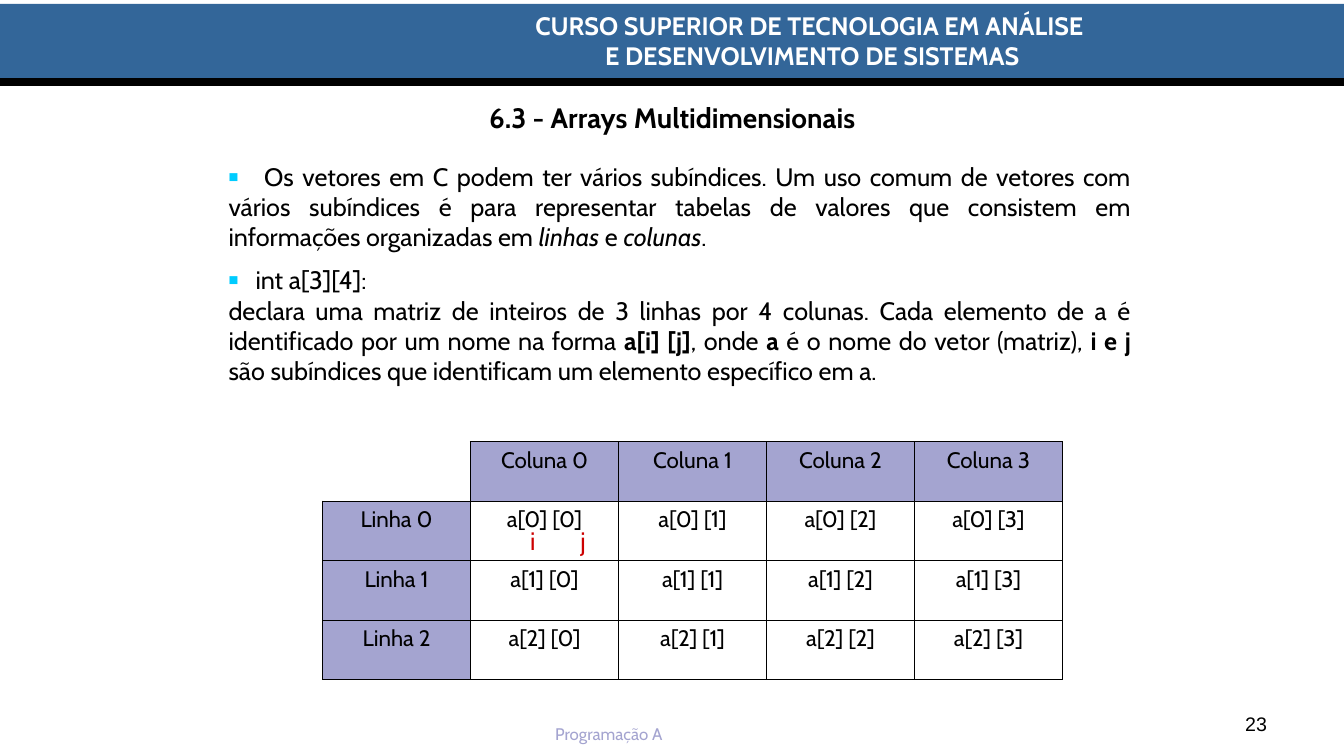
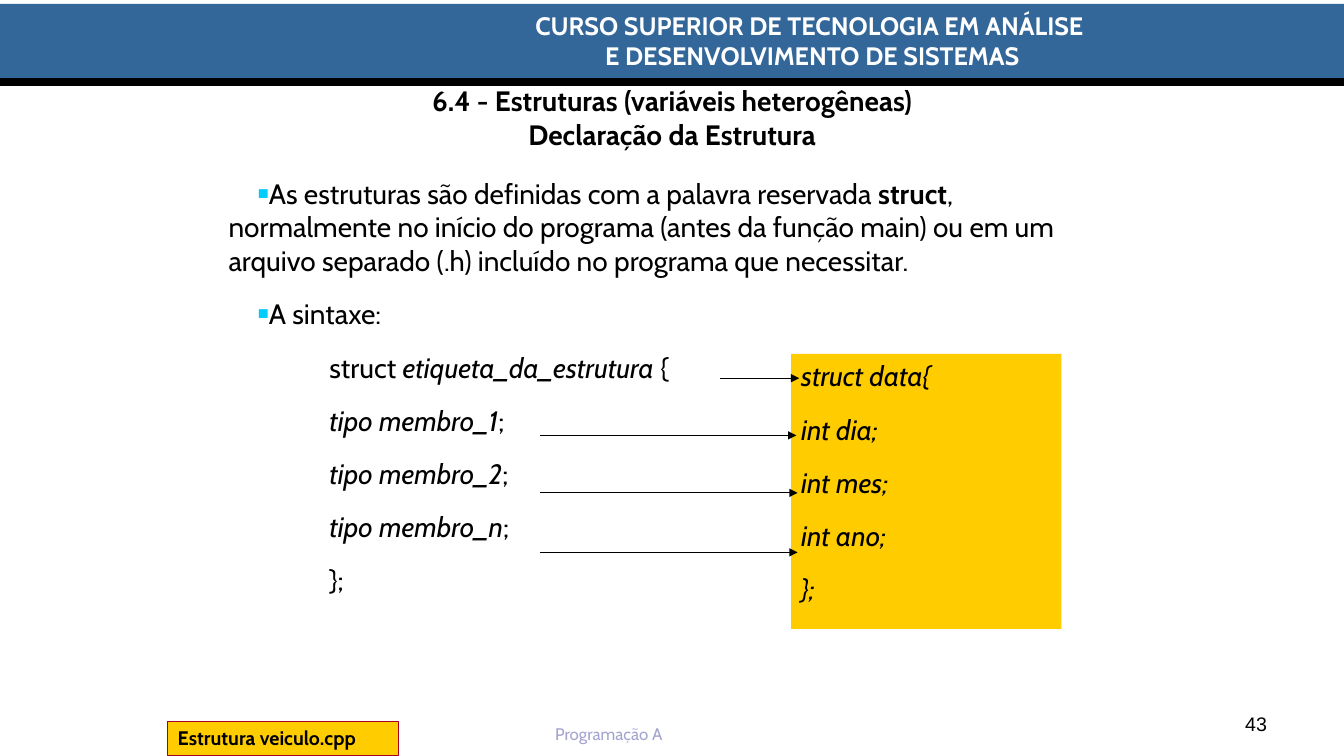
"""Builds two lecture slides on C arrays and structures."""
import dataclasses

import lxml.etree
import pptx
import pptx.dml.color
import pptx.enum.shapes
import pptx.enum.text
import pptx.oxml.ns
import pptx.util

Cm = pptx.util.Cm
ALIGN = pptx.enum.text.PP_ALIGN
ANCHOR = pptx.enum.text.MSO_ANCHOR
RECTANGLE = pptx.enum.shapes.MSO_SHAPE.RECTANGLE


@dataclasses.dataclass(frozen=True)
class Theme:
    """Colours, fonts and type sizes of the deck."""
    font: str = "Cabin"
    number_font: str = "Arial"
    ink: str = "000000"
    white: str = "FFFFFF"
    band: str = "336699"
    lilac: str = "A4A4D0"
    bullet: str = "00CCFF"
    red: str = "CC0000"
    amber: str = "FFCC00"
    wine: str = "A50021"
    heading: int = 20
    text: int = 18
    table: int = 16
    label: int = 14
    footer: int = 12


THEME = Theme()


def rgb(value):
    """Turn a hex string into a colour."""
    return pptx.dml.color.RGBColor.from_string(value)


def add_xml(parent, tag, **attributes):
    """Append a drawing element to a parent."""
    return lxml.etree.SubElement(parent, pptx.oxml.ns.qn(tag), attributes)


def add_span(para, text, size, color=THEME.ink, style="", font=THEME.font):
    """Add one formatted run; style holds b for bold and i for italic."""
    span = para.add_run()
    span.text = text
    span.font.name = font
    span.font.size = pptx.util.Pt(size)
    span.font.color.rgb = rgb(color)
    span.font.bold = "b" in style
    span.font.italic = "i" in style


def format_para(para, align=ALIGN.LEFT, left=0, indent=0, bullet=False, tab=None, before=0, after=0):
    """Set alignment, indents, bullet, tab stop and spacing of a paragraph."""
    properties = para._p.get_or_add_pPr()
    properties.set("marL", str(Cm(left)))
    properties.set("indent", str(Cm(indent)))
    if bullet:
        add_xml(add_xml(properties, "a:buClr"), "a:srgbClr", val=THEME.bullet)
        add_xml(properties, "a:buSzPct", val="65000")
        add_xml(properties, "a:buFont", typeface=THEME.number_font)
        add_xml(properties, "a:buChar", char="■")
    else:
        add_xml(properties, "a:buNone")
    if tab:
        add_xml(add_xml(properties, "a:tabLst"), "a:tab", pos=str(Cm(tab)), algn="l")
    para.alignment = align
    para.space_before = pptx.util.Pt(before)
    para.space_after = pptx.util.Pt(after)


def fill_text(frame, paragraphs, size, color=THEME.ink, font=THEME.font, anchor=ANCHOR.TOP):
    """Write paragraphs given as (runs, format) pairs into a text frame."""
    frame.word_wrap = True
    frame.vertical_anchor = anchor
    for index, (runs, options) in enumerate(paragraphs):
        para = frame.add_paragraph() if index else frame.paragraphs[0]
        format_para(para, **options)
        for text, style in runs:
            add_span(para, text, size, color, style, font)


def add_text(slide, place, paragraphs, size, **options):
    """Add a text box at a place in centimetres."""
    box = slide.shapes.add_textbox(*map(Cm, place))
    fill_text(box.text_frame, paragraphs, size, **options)


def add_box(slide, place, fill, line=None):
    """Add a flat rectangle."""
    box = slide.shapes.add_shape(RECTANGLE, *map(Cm, place))
    box.shadow.inherit = False
    box.fill.solid()
    box.fill.fore_color.rgb = rgb(fill)
    if line:
        box.line.color.rgb = rgb(line)
        box.line.width = pptx.util.Pt(0.75)
    else:
        box.line.fill.background()
    return box


def add_line(slide, start, end, y, width, arrow=False):
    """Add a horizontal line, with an arrowhead at its end if asked."""
    line = slide.shapes.add_connector(
        pptx.enum.shapes.MSO_CONNECTOR.STRAIGHT, Cm(start), Cm(y), Cm(end), Cm(y))
    line.line.color.rgb = rgb(THEME.ink)
    line.line.width = pptx.util.Pt(width)
    if arrow:
        add_xml(line.line._get_or_add_ln(), "a:tailEnd", type="triangle")
    add_xml(line._element.spPr, "a:effectLst")


def add_page(deck, title_lines, number):
    """Add a slide with its title, course band, footer and number."""
    slide = deck.slides.add_slide(deck.slide_layouts[5])
    title = slide.shapes.title
    title.left, title.top, title.width, title.height = map(Cm, (1.7, 1.05, 30.48, 3.81))
    frame = title.text_frame
    fill_text(frame, [([], {"align": ALIGN.CENTER})], THEME.heading, anchor=ANCHOR.MIDDLE)
    for index, text in enumerate(title_lines):
        if index:
            frame.paragraphs[0].add_line_break()
        add_span(frame.paragraphs[0], text, THEME.heading, style="b")

    add_box(slide, (0, 0.1, 33.87, 2), THEME.band)
    course = ("CURSO SUPERIOR DE TECNOLOGIA EM ANÁLISE ", "E DESENVOLVIMENTO DE SISTEMAS")
    add_text(slide, (7.34, 0.13, 26.26, 1.8),
             [([(text, "b")], {"align": ALIGN.CENTER}) for text in course],
             THEME.text, color=THEME.white)
    add_line(slide, 0, 33.87, 2.06, 6)
    add_text(slide, (13.74, 18.11, 4, 0.76), [([("Programação A", "")], {})],
             THEME.footer, color=THEME.lilac)
    add_text(slide, (24.28, 17.35, 7.9, 1.32), [([(number, "")], {"align": ALIGN.RIGHT})],
             THEME.label, font=THEME.number_font, anchor=ANCHOR.BOTTOM)
    return slide


def set_borders(cell, visible):
    """Draw the named cell sides and hide the others."""
    properties = cell._tc.get_or_add_tcPr()
    for position, side in enumerate("LRTB"):
        line = add_xml(properties, f"a:ln{side}", w=str(pptx.util.Pt(1)))
        properties.remove(line)
        properties.insert(position, line)
        if side in visible:
            add_xml(add_xml(line, "a:solidFill"), "a:srgbClr", val=THEME.ink)
        else:
            add_xml(line, "a:noFill")


def add_matrix(slide, left, top, rows, columns, column_width, row_height):
    """Add the table of array elements with row and column headings."""
    table = slide.shapes.add_table(
        rows + 1, columns + 1, Cm(left), Cm(top),
        Cm(column_width * (columns + 1)), Cm(row_height * (rows + 1))).table
    table.first_row = table.horz_banding = False
    headings = [""] + [f"Coluna {column}" for column in range(columns)]
    body = [[f"Linha {row}"] + [f"a[{row}] [{column}]" for column in range(columns)]
            for row in range(rows)]
    for row, texts in enumerate([headings] + body):
        for column, text in enumerate(texts):
            cell = table.cell(row, column)
            if text and 0 in (row, column):
                cell.fill.solid()
                cell.fill.fore_color.rgb = rgb(THEME.lilac)
            else:
                cell.fill.background()
            set_borders(cell, "LRTB" if text else "RB")
            if text:
                fill_text(cell.text_frame, [([(text, "")], {"align": ALIGN.CENTER})], THEME.table)


def add_array_page(deck):
    """Build the slide on multidimensional arrays."""
    slide = add_page(deck, ["6.3 - Arrays Multidimensionais"], "23")
    usage = [
        ("\tOs vetores em C podem ter vários subíndices. Um uso comum de vetores com vários "
         "subíndices é para representar tabelas de valores que consistem em informações "
         "organizadas em ", ""),
        ("linhas ", "i"), ("e ", ""), ("colunas", "i"), (". ", "")]
    meaning = [
        ("declara uma matriz de inteiros de 3 linhas por 4 colunas. Cada elemento de a é "
         "identificado por um nome na forma ", ""),
        ("a[i] [j]", "b"), (", onde ", ""), ("a", "b"),
        (" é o nome do vetor (matriz), ", ""), ("i e j", "b"),
        (" são subíndices que identificam um elemento específico em a.", "")]
    add_text(slide, (5.51, 3.94, 23.24, 12.8), [
        (usage, {"align": ALIGN.JUSTIFY, "bullet": True, "tab": 0.9, "after": 9}),
        ([("\tint a[3][4]: ", "")], {"align": ALIGN.JUSTIFY, "bullet": True, "tab": 0.68}),
        (meaning, {"align": ALIGN.JUSTIFY})], THEME.text)
    add_matrix(slide, 8.13, 11.13, 3, 4, 3.73, 1.5)
    add_text(slide, (13.11, 13.11, 2.5, 1.02), [([("i\tj", "")], {"tab": 0.55})],
             THEME.text, color=THEME.red)


def spaced(paragraphs, **options):
    """Pair each list of runs with the wide paragraph spacing."""
    return [(runs, {"before": 4 if index else 0, "after": 10, **options})
            for index, runs in enumerate(paragraphs)]


def add_structure_page(deck):
    """Build the slide on structure declarations."""
    slide = add_page(
        deck, ["6.4 - Estruturas (variáveis heterogêneas)", "Declaração da Estrutura"], "43")
    points = [
        [("As estruturas são definidas com a palavra reservada ", ""), ("struct", "b"),
         (", normalmente no início do programa (antes da função main) ou em um arquivo "
          "separado (.h) incluído no programa que necessitar.", "")],
        [("A sintaxe:", "")]]
    members = [[(f"tipo membro_{name}", "i"), (";", "")] for name in "12n"]
    syntax = [[("struct ", ""), ("etiqueta_da_estrutura ", "i"), ("{", "")],
              *members, [("};", "")]]
    paragraphs = spaced(points, indent=0.74, bullet=True) + spaced(syntax, left=2.54, before=4)
    add_text(slide, (5.51, 4.32, 22.63, 12.8), paragraphs, THEME.heading)

    file_label = add_box(slide, (4.23, 18.18, 5.82, 0.86), THEME.amber, THEME.wine)
    fill_text(file_label.text_frame, [([("Estrutura veiculo.cpp", "b")], {})], THEME.label)
    example = add_box(slide, (19.94, 8.92, 6.81, 6.93), THEME.amber)
    code = ("struct data{", "int dia;", "int mes;", "int ano;", "};")
    fill_text(example.text_frame, spaced([[(text, "i")] for text in code]), THEME.heading)
    for start, end, y in ((18.14, 20.14, 9.53), (13.6, 20.07, 10.97),
                          (13.6, 20.1, 12.42), (13.6, 20.1, 13.92)):
        add_line(slide, start, end, y, 0.75, arrow=True)


def main():
    """Create and save the deck."""
    deck = pptx.Presentation()
    deck.slide_width, deck.slide_height = Cm(33.87), Cm(19.05)
    add_array_page(deck)
    add_structure_page(deck)
    deck.save("out.pptx")


if __name__ == "__main__":
    main()
